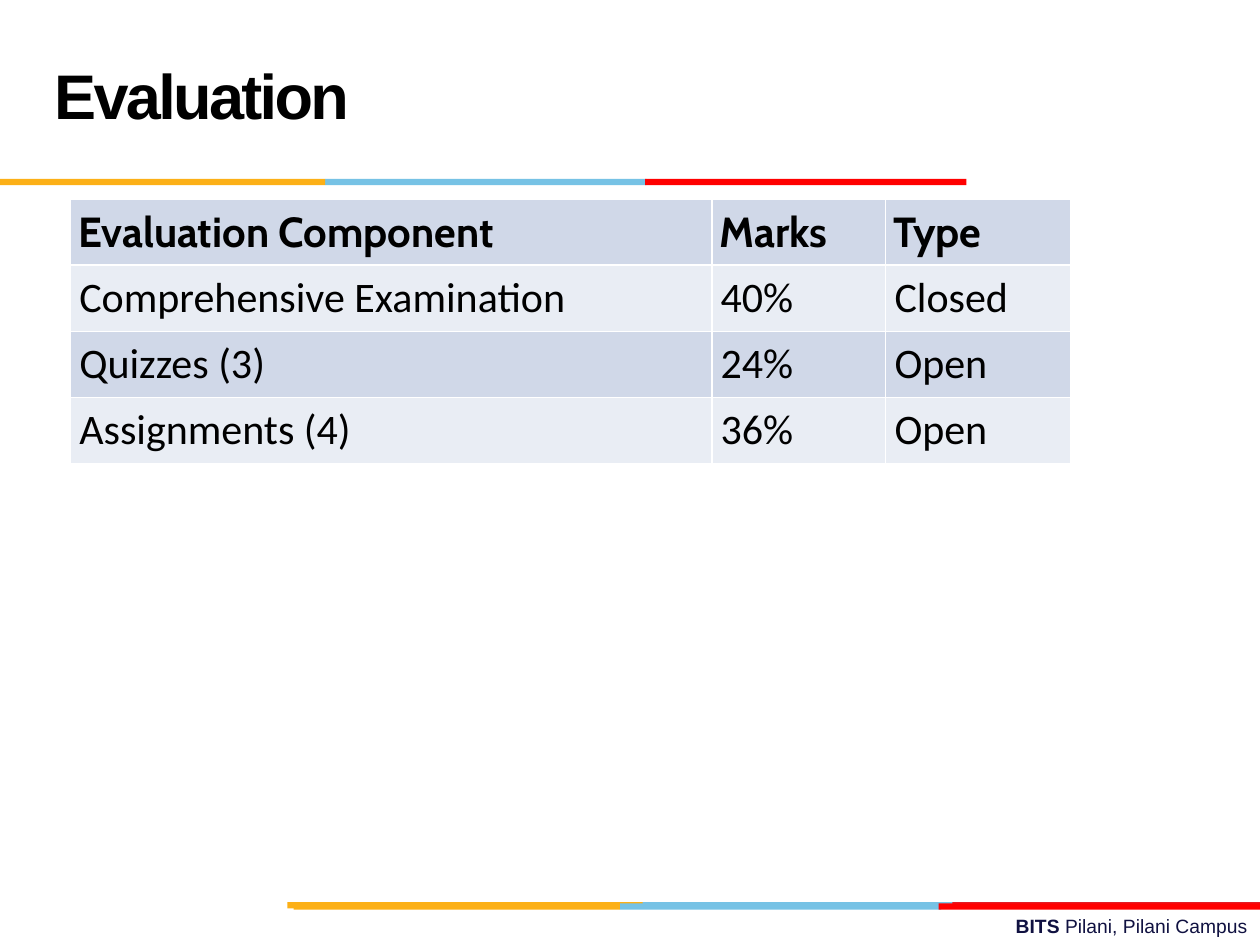
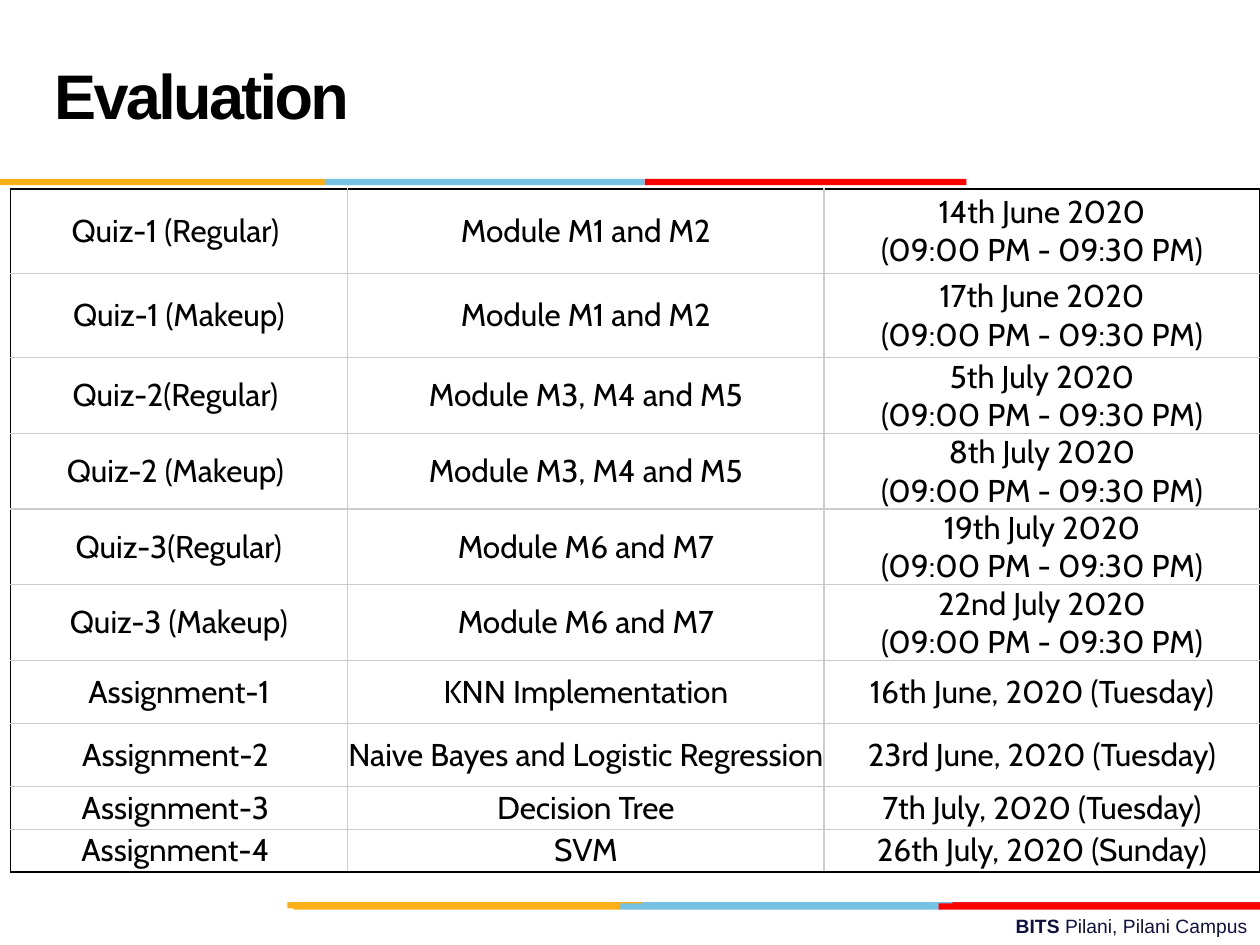
import dataclasses
from typing import Optional

import pptx
import pptx.dml.color
import pptx.enum.shapes
import pptx.enum.text
import pptx.oxml.ns
import pptx.util
from lxml import etree

Align = pptx.enum.text.PP_ALIGN
Anchor = pptx.enum.text.MSO_ANCHOR

GRID_COLUMNS, GRID_ROWS = 100, 75
SLIDE_WIDTH, SLIDE_HEIGHT = pptx.util.Inches(10), pptx.util.Inches(7.5)

BLACK, WHITE, NAVY, GREY = "000000", "FFFFFF", "101141", "CCCCCC"
GOLD, SKY, RED, CRIMSON = "FCB017", "76C2E5", "FF0000", "E31C24"
DARK_ROW, LIGHT_ROW = "D0D8E8", "E9EDF4"


@dataclasses.dataclass(frozen=True)
class Area:
    left: float
    top: float
    width: float
    height: float

    def lengths(self) -> tuple:
        return across(self.left), down(self.top), across(self.width), down(self.height)


@dataclasses.dataclass(frozen=True)
class Stripe:
    left: float
    top: float
    width: float
    color: str


@dataclasses.dataclass(frozen=True)
class TextStyle:
    size: float
    font: str
    color: str = BLACK
    bold: bool = False


@dataclasses.dataclass(frozen=True)
class CellStyle:
    text: TextStyle
    fill: str
    align: Align
    anchor: Anchor
    inset: float = 0
    line_spacing: Optional[float] = None


@dataclasses.dataclass(frozen=True)
class Borders:
    inner: str
    outer: str
    points: float


TITLE_AREA = Area(3.3, 1.7, 69.2, 12.5)
FOOTER_AREA = Area(35.8, 72.1, 64.2, 2.9)
STRIPE_HEIGHT = 0.5
STRIPES = [
    Stripe(50.6, 71.6, 25.5, SKY),
    Stripe(75.6, 71.6, 24.4, CRIMSON),
    Stripe(22.8, 71.6, 28.2, GOLD),
    Stripe(49.2, 71.7, 25.5, SKY),
    Stripe(23.3, 71.7, 25.9, GOLD),
    Stripe(74.5, 71.7, 25.5, RED),
    Stripe(25.8, 14.2, 25.5, SKY),
    Stripe(0, 14.2, 25.8, GOLD),
    Stripe(51.2, 14.2, 25.5, RED),
]

TITLE_STYLE = TextStyle(36, "Arial", bold=True)
CAMPUS_STYLE = TextStyle(11, "Arial", NAVY)
CAMPUS_BOLD = dataclasses.replace(CAMPUS_STYLE, bold=True)

HEADER_CELL = CellStyle(TextStyle(24, "Cabin", bold=True), DARK_ROW,
                        Align.JUSTIFY, Anchor.TOP, 0.6, 1.15)
LIGHT_CELL = CellStyle(TextStyle(24, "Calibri"), LIGHT_ROW,
                       Align.JUSTIFY, Anchor.TOP, 0.7, 1.15)
DARK_CELL = dataclasses.replace(LIGHT_CELL, fill=DARK_ROW)
SCHEDULE_CELL = CellStyle(TextStyle(18, "Cabin"), WHITE, Align.CENTER, Anchor.MIDDLE)

MARKS = [
    ("Evaluation Component", "Marks", "Type"),
    ("Comprehensive Examination", "40%", "Closed"),
    ("Quizzes (3)", "24%", "Open"),
    ("Assignments (4)", "36%", "Open"),
]

QUIZ_TIME = "(09:00 PM - 09:30 PM)"
QUIZZES = [
    ("Quiz-1 (Regular) ", "Module M1 and M2", "14th June 2020"),
    ("Quiz-1 (Makeup)", "Module M1 and M2", "17th June 2020"),
    ("Quiz-2(Regular) ", "Module M3, M4 and M5", "5th July 2020"),
    ("Quiz-2 (Makeup) ", "Module M3, M4 and M5", "8th July 2020"),
    ("Quiz-3(Regular)", "Module M6 and M7", "19th July 2020"),
    ("Quiz-3 (Makeup)", "Module M6 and M7", "22nd July 2020"),
]
ASSIGNMENTS = [
    ("Assignment-1", "KNN Implementation", "16th June, 2020 (Tuesday)"),
    ("Assignment-2 ", "Naive Bayes and Logistic Regression", "23rd June, 2020 (Tuesday)"),
    ("Assignment-3 ", "Decision Tree", "7th July, 2020 (Tuesday)"),
    ("Assignment-4 ", "SVM", "26th July, 2020 (Sunday)"),
]
SCHEDULE = [(quiz, topic, f"{day}\n{QUIZ_TIME}") for quiz, topic, day in QUIZZES] + ASSIGNMENTS


def across(columns: float) -> int:
    return round(SLIDE_WIDTH * columns / GRID_COLUMNS)


def down(rows: float) -> int:
    return round(SLIDE_HEIGHT * rows / GRID_ROWS)


def rgb(color: str) -> pptx.dml.color.RGBColor:
    return pptx.dml.color.RGBColor.from_string(color)


def add_run(paragraph, text: str, style: TextStyle):
    run = paragraph.add_run()
    run.text = text
    run.font.size = pptx.util.Pt(style.size)
    run.font.name = style.font
    run.font.bold = style.bold
    run.font.color.rgb = rgb(style.color)
    return run


def add_stripe(slide, stripe: Stripe) -> None:
    area = Area(stripe.left, stripe.top, stripe.width, STRIPE_HEIGHT)
    shape = slide.shapes.add_shape(pptx.enum.shapes.MSO_SHAPE.RECTANGLE, *area.lengths())
    shape.shadow.inherit = False
    shape.fill.solid()
    shape.fill.fore_color.rgb = rgb(stripe.color)
    shape.line.fill.background()


def add_footer(slide) -> None:
    frame = slide.shapes.add_textbox(*FOOTER_AREA.lengths()).text_frame
    frame.word_wrap = True
    paragraph = frame.paragraphs[0]
    paragraph.alignment = Align.RIGHT
    add_run(paragraph, "BITS ", CAMPUS_BOLD)
    add_run(paragraph, "Pilani, Pilani Campus", CAMPUS_STYLE)


def set_title(slide, text: str) -> None:
    title = slide.shapes.title
    title.left, title.top, title.width, title.height = TITLE_AREA.lengths()
    frame = title.text_frame
    frame.auto_size = pptx.enum.text.MSO_AUTO_SIZE.NONE
    frame.vertical_anchor = Anchor.MIDDLE
    paragraph = frame.paragraphs[0]
    paragraph.alignment = Align.LEFT
    paragraph.line_spacing = pptx.util.Pt(36)
    run = add_run(paragraph, text, TITLE_STYLE)
    run.font._element.set("spc", "-150")


def add_evaluation_slide(presentation):
    slide = presentation.slides.add_slide(presentation.slide_layouts[5])
    for stripe in STRIPES:
        add_stripe(slide, stripe)
    add_footer(slide)
    set_title(slide, "Evaluation")
    return slide


def set_border(cell, side: str, color: str, points: float) -> None:
    qn = pptx.oxml.ns.qn
    properties = cell._tc.get_or_add_tcPr()
    line = etree.SubElement(properties, qn(f"a:ln{side}"), w=str(pptx.util.Pt(points)))
    fill = etree.SubElement(line, qn("a:solidFill"))
    etree.SubElement(fill, qn("a:srgbClr"), val=color)


def fill_cell(cell, text: str, style: CellStyle) -> None:
    cell.fill.solid()
    cell.fill.fore_color.rgb = rgb(style.fill)
    cell.vertical_anchor = style.anchor
    cell.margin_left = cell.margin_right = across(style.inset)
    cell.margin_top = cell.margin_bottom = 0
    paragraph = cell.text_frame.paragraphs[0]
    paragraph.alignment = style.align
    paragraph.line_spacing = style.line_spacing
    for number, line in enumerate(text.split("\n")):
        if number:
            paragraph.add_line_break()
        add_run(paragraph, line, style.text)


def add_grid_table(slide, left: float, top: float, widths: list[float], heights: list[float],
                   texts: list[tuple], row_styles: list[CellStyle], borders: Borders) -> None:
    area = Area(left, top, sum(widths), sum(heights))
    table = slide.shapes.add_table(len(heights), len(widths), *area.lengths()).table
    table.first_row = table.horz_banding = False
    for column, width in zip(table.columns, widths):
        column.width = across(width)
    for row, height in zip(table.rows, heights):
        row.height = down(height)
    last_row, last_column = len(heights) - 1, len(widths) - 1
    for row_index, (row_texts, style) in enumerate(zip(texts, row_styles)):
        for column_index, text in enumerate(row_texts):
            cell = table.cell(row_index, column_index)
            on_edge = {
                "L": column_index == 0,
                "R": column_index == last_column,
                "T": row_index == 0,
                "B": row_index == last_row,
            }
            for side, is_outer in on_edge.items():
                color = borders.outer if is_outer else borders.inner
                set_border(cell, side, color, borders.points)
            fill_cell(cell, text, style)


def main() -> None:
    presentation = pptx.Presentation()
    presentation.slide_width, presentation.slide_height = SLIDE_WIDTH, SLIDE_HEIGHT

    marks_slide = add_evaluation_slide(presentation)
    add_grid_table(marks_slide, 5.6, 15.8, [50.9, 13.8, 14.7], [5.25] * len(MARKS), MARKS,
                   [HEADER_CELL, LIGHT_CELL, DARK_CELL, LIGHT_CELL], Borders(WHITE, WHITE, 1))

    schedule_slide = add_evaluation_slide(presentation)
    schedule_heights = [6.7] * 2 + [5.8] * 4 + [5] * 2 + [3.4] * 2
    add_grid_table(schedule_slide, 0.8, 15, [26.8, 37.8, 34.6], schedule_heights, SCHEDULE,
                   [SCHEDULE_CELL] * len(SCHEDULE), Borders(GREY, BLACK, 0.75))

    presentation.save("out.pptx")


if __name__ == "__main__":
    main()
